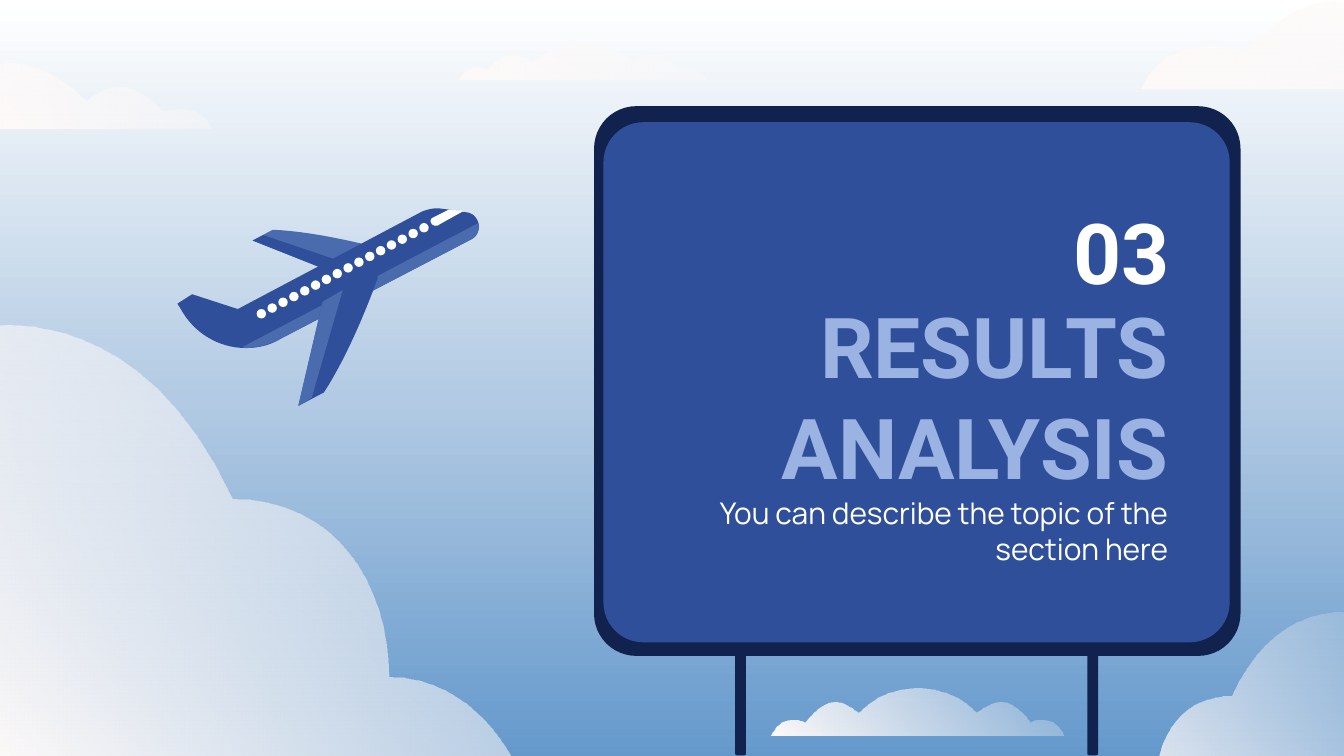
from lxml import etree
from pptx import Presentation
from pptx.dml.color import RGBColor
from pptx.enum.shapes import MSO_SHAPE
from pptx.enum.text import MSO_ANCHOR, MSO_AUTO_SIZE, PP_ALIGN
from pptx.oxml.ns import qn
from pptx.util import Inches, Pt

ROUND, OVAL = MSO_SHAPE.ROUNDED_RECTANGLE, MSO_SHAPE.OVAL
RIGHT = PP_ALIGN.RIGHT
TOP, MIDDLE = MSO_ANCHOR.TOP, MSO_ANCHOR.MIDDLE
FIXED = MSO_AUTO_SIZE.NONE

WHITE = RGBColor(0xFF, 0xFF, 0xFF)
CREAM = RGBColor(0xFE, 0xFA, 0xF9)
SKY = RGBColor(0x65, 0x99, 0xCC)
HAZE = RGBColor(0xB2, 0xCA, 0xE3)
NAVY = RGBColor(0x11, 0x22, 0x4E)
BLUE = RGBColor(0x30, 0x4F, 0x9B)
STEEL = RGBColor(0x4A, 0x6C, 0xAF)
PALE = RGBColor(0x9A, 0xB3, 0xE3)

# Outlines: a pair is a straight step, six numbers are a Bezier curve.
HILL = [(0, .17), (0, .17, 1.07, 0, 1.74, 1.45), (2.49, 1.45, 2.9, 2.07, 2.9, 2.77),
        (3.55, 2.77, 3.84, 3.42, 3.84, 3.42), (0, 3.42)]
BANK = [(0, .08), (0, .08, .3, 0, .65, .35), (.91, .15, 1.07, .28, 1.22, .43),
        (1.5, .34, 1.58, .56, 1.58, .56), (0, .56)]
PUFF = [(0, .35), (0, .35, .04, .23, .16, .23), (.19, .23, .22, .23, .25, .25),
        (.32, .17, .39, .1, .48, .1), (.53, .1, .58, .13, .65, .18),
        (.76, .06, .92, 0, 1.09, 0), (1.25, 0, 1.42, .06, 1.52, .18),
        (1.59, .13, 1.65, .1, 1.7, .1), (1.79, .1, 1.86, .17, 1.92, .25),
        (1.95, .23, 1.98, .23, 2.01, .23), (2.13, .23, 2.17, .35, 2.17, .35)]

# Parts of the plane, from back to front, measured from its box.
PLANE = [
    (STEEL, [(.71, .16), (.56, .24), (1.14, .47), (1.15, .47), (1.44, .31),
             (1.45, .31, 1.45, .29, 1.44, .28), (1.32, .25, .98, .17, .71, .16)]),
    (BLUE, [(.64, .2), (.56, .24), (1.14, .47), (1.15, .47), (1.26, .41)]),
    (BLUE, [(1.94, 0), (1.9, 0, 1.85, .01, 1.81, .03), (.45, .75), (.11, .64),
            (0, .71), (.02, .74), (.12, .93, .31, 1.04, .51, 1.04),
            (.6, 1.04, .69, 1.02, .77, .97), (2.19, .23),
            (2.28, .18, 2.25, .04, 2.15, .03), (2.02, .01)]),
    (STEEL, [(2.24, .11), (.49, 1.03), (.49, 1.04, .5, 1.04, .51, 1.04),
             (.6, 1.04, .69, 1.01, .77, .97), (2.19, .23),
             (2.23, .21, 2.25, .16, 2.24, .11)]),
    (BLUE, [(1.47, .49), (1.09, .69), (1.08, .7), (.9, 1.47), (1.09, 1.37),
            (1.28, 1.08, 1.44, .66, 1.49, .52), (1.49, .5, 1.48, .49, 1.47, .49)]),
    (STEEL, [(1.23, .61), (1.09, .69), (1.08, .7), (.9, 1.47), (1, 1.41)]),
    (WHITE, [(2.02, .01), (1.9, .07), (1.88, .08, 1.88, .1, 1.89, .11),
             (1.89, .12, 1.91, .13, 1.92, .13), (1.93, .13, 1.94, .13, 1.95, .12),
             (2.13, .02)]),
]


def trace(path, steps=16):
    """Turn an outline into a list of points."""
    dots = [path[0]]
    for seg in path[1:]:
        if len(seg) == 2:
            dots.append(seg)
            continue
        knots = [dots[-1], seg[:2], seg[2:4], seg[4:]]
        for i in range(1, steps + 1):
            t = i / steps
            parts = ((1 - t) ** 3, 3 * t * (1 - t) ** 2, 3 * t * t * (1 - t), t ** 3)
            dots.append(tuple(sum(w * k[axis] for w, k in zip(parts, knots))
                              for axis in (0, 1)))
    return dots


def carve(shapes, dots):
    dots = [(Inches(x), Inches(y)) for x, y in dots]
    pen = shapes.build_freeform(*dots[0])
    pen.add_line_segments(dots[1:], close=True)
    shape = pen.convert_to_shape()
    shape.shadow.inherit = False
    shape.line.fill.background()
    return shape


def blend(fill, node, stops, angle):
    """Give a gradient of (position, colour, opacity) stops, in percent."""
    fill.gradient()
    fill.gradient_angle = angle
    ramp = next(node.iter(qn("a:gsLst")))
    for old in list(ramp):
        ramp.remove(old)
    for place, tint, alpha in stops:
        stop = etree.SubElement(ramp, qn("a:gs"), pos=str(place * 1000))
        mix = etree.SubElement(stop, qn("a:srgbClr"), val=str(tint))
        if alpha < 100:
            etree.SubElement(mix, qn("a:alpha"), val=str(alpha * 1000))


def cloud(slide, path, box, flip=False):
    left, top, width, height = box
    dots = trace(path)
    wide = max(x for x, y in dots)
    tall = max(y for x, y in dots)
    spots = [(left + width * (1 - x / wide if flip else x / wide),
              top + height * y / tall) for x, y in dots]
    shape = carve(slide.shapes, spots)
    blend(shape.fill, shape._element.spPr, [(0, CREAM, 19), (100, CREAM, 100)], 225)


def block(shapes, kind, box, tint):
    shape = shapes.add_shape(kind, *map(Inches, box))
    shape.shadow.inherit = False
    shape.fill.solid()
    shape.fill.fore_color.rgb = tint
    shape.line.fill.background()
    return shape


def write(shape, box, text, size, face, tint, bold=False, anchor=MIDDLE, head=.1):
    shape.left, shape.top, shape.width, shape.height = map(Inches, box)
    frame = shape.text_frame
    frame.auto_size = FIXED
    frame.word_wrap = True
    frame.vertical_anchor = anchor
    frame.margin_left = frame.margin_right = frame.margin_bottom = Inches(.1)
    frame.margin_top = Inches(head)
    para = frame.paragraphs[0]
    para.alignment = RIGHT
    run = para.add_run()
    run.text = text
    font = run.font
    font.size, font.name, font.bold = Pt(size), face, bold
    font.color.rgb = tint


def board(slide, left, top):
    """Draw the billboard and its wording."""
    group = slide.shapes.add_group_shape().shapes
    for x in (1.05, 3.67):
        block(group, ROUND, (left + x, top + 1.51, .08, 3.32), NAVY)
    for x, y, width, height, tint in ((0, 0, 4.81, 4.09, NAVY),
                                      (.07, .12, 4.66, 3.87, BLUE)):
        panel = block(group, ROUND, (left + x, top + y, width, height), tint)
        panel.adjustments[0] = .077

    title = slide.shapes.title
    slide.shapes._spTree.append(title._element)  # bring in front of the board
    write(title, (left + .27, top + 1.21, 4.1, 1.88),
          "RESULTS ANALYSIS", 45, "Roboto", PALE, True)
    count = slide.shapes.add_textbox(0, 0, 0, 0)
    write(count, (left + 3.01, top + .55, 1.37, .97),
          "03", 45, "Roboto", WHITE, True, head=.18)
    note = slide.shapes.add_textbox(0, 0, 0, 0)
    write(note, (left + .83, top + 2.79, 3.54, .76),
          "You can describe the topic of the section here",
          16, "Manrope", WHITE, anchor=TOP)


def plane(slide, left, top):
    group = slide.shapes.add_group_shape().shapes
    for tint, path in PLANE:
        part = carve(group, [(left + x, top + y) for x, y in trace(path)])
        part.fill.solid()
        part.fill.fore_color.rgb = tint
    count = 16
    for i in range(count):
        share = i / (count - 1)
        block(group, OVAL, (left + .59 + 1.21 * share, top + .75 - .64 * share,
                            .07, .07), WHITE)


def main():
    deck = Presentation()
    deck.slide_width = Inches(10)
    deck.slide_height = deck.slide_width * 9 // 16
    slide = deck.slides.add_slide(deck.slide_layouts[5])
    blend(slide.background.fill, slide._element,
          [(0, SKY, 100), (47, HAZE, 100), (100, WHITE, 100)], 90)
    cloud(slide, HILL, (-.01, 2.26, 3.84, 3.42))
    cloud(slide, HILL, (8.15, 4.48, 1.85, 1.64), flip=True)
    cloud(slide, BANK, (-.01, .4, 1.58, .56))
    cloud(slide, BANK, (8.49, -.52, 3.36, 1.18), flip=True)
    cloud(slide, PUFF, (5.74, 5.12, 2.17, .35))
    board(slide, 4.42, .79)
    cloud(slide, PUFF, (3.42, .33, 1.83, .26))
    plane(slide, 1.32, 1.55)
    deck.save("out.pptx")


if __name__ == "__main__":
    main()
